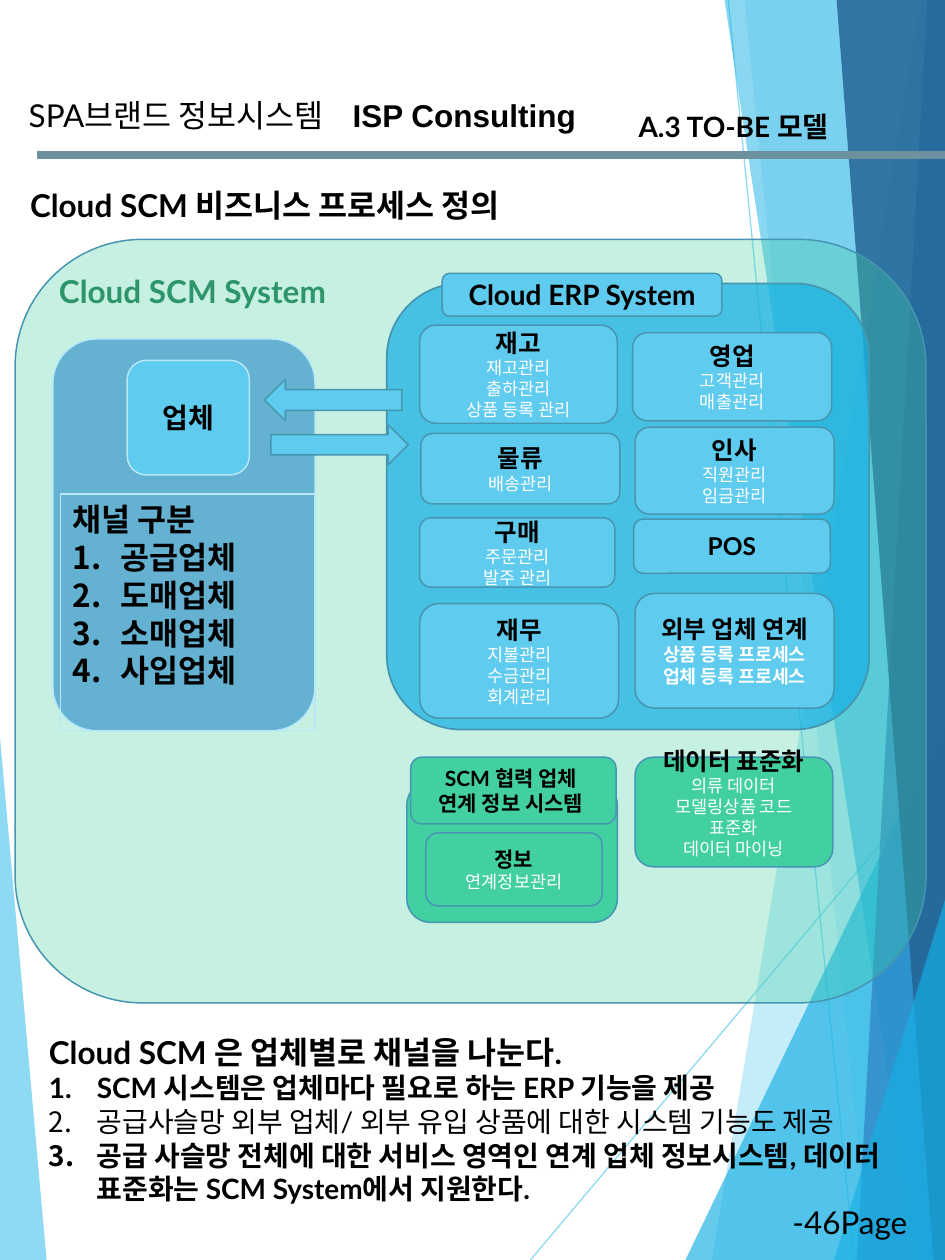
from dataclasses import dataclass
from typing import Optional

from lxml.etree import SubElement
from pptx import Presentation
from pptx.dml.color import RGBColor
from pptx.enum.shapes import MSO_CONNECTOR as Connector, MSO_SHAPE as Preset
from pptx.enum.text import MSO_ANCHOR as Anchor, MSO_AUTO_SIZE as AutoSize, PP_ALIGN as Align
from pptx.oxml.ns import qn
from pptx.util import Inches, Pt

COLUMNS, ROWS = 750, 1000
CELL = Inches(7.5) // COLUMNS
SKY, BLUE, GREEN, EDGE, PALE = "5FCBEF", "17B0E4", "42D0A2", "4696B1", "B7E8F8"
BLACK, WHITE = "000000", "FFFFFF"


@dataclass(frozen=True)
class Line:
    text: str
    size: float
    bold: bool = True
    color: str = BLACK
    numbered: bool = False
    font: str = "Lato"


@dataclass(frozen=True)
class Box:
    left: int
    top: int
    width: int
    height: int
    lines: tuple[Line, ...] = ()
    fill: Optional[str] = SKY
    alpha: int = 100
    edge: str = EDGE
    edge_width: float = 0.85
    preset: Preset = Preset.ROUNDED_RECTANGLE
    centred: bool = True
    bottom_inset: float = 0.05


@dataclass(frozen=True)
class Label:
    left: int
    top: int
    width: int
    height: int
    lines: tuple[Line, ...]
    wrap: bool = False


@dataclass(frozen=True)
class Facet:
    points: tuple[tuple[int, int], ...]
    fill: str
    alpha: int


@dataclass(frozen=True)
class Rule:
    start: tuple[int, int]
    end: tuple[int, int]
    color: str
    width: float
    alpha: int = 100


def paint(color_fill, color: str, alpha: int = 100) -> None:
    """Make a fill solid with a hex colour and an opacity in percent."""
    color_fill.solid()
    color_fill.fore_color.rgb = RGBColor.from_string(color)
    if alpha < 100:
        element = color_fill._xPr.find(qn("a:solidFill"))[0]
        SubElement(element, qn("a:alpha"), val=str(alpha * 1000))


def write(frame, lines: tuple[Line, ...], align: Align) -> None:
    """Write one paragraph per line into a text frame."""
    for index, line in enumerate(lines):
        paragraph = frame.paragraphs[0] if index == 0 else frame.add_paragraph()
        paragraph.alignment = align
        if line.numbered:
            properties = paragraph._p.get_or_add_pPr()
            properties.set("marL", str(Inches(0.38)))
            properties.set("indent", str(-Inches(0.38)))
            SubElement(properties, qn("a:buFont"), typeface="+mj-lt")
            SubElement(properties, qn("a:buAutoNum"), type="arabicPeriod")
        paragraph.add_run().text = line.text
        font = paragraph.font
        font.name, font.size, font.bold = line.font, Pt(line.size), line.bold
        font.color.rgb = RGBColor.from_string(line.color)


def draw_box(slide, box: Box) -> None:
    """Draw a preset shape with its text."""
    place = (side * CELL for side in (box.left, box.top, box.width, box.height))
    shape = slide.shapes.add_shape(box.preset, *place)
    shape.shadow.inherit = False
    if box.fill:
        paint(shape.fill, box.fill, box.alpha)
    else:
        shape.fill.background()
    paint(shape.line.fill, box.edge)
    shape.line.width = Pt(box.edge_width)
    frame = shape.text_frame
    frame.word_wrap = True
    frame.margin_bottom = Inches(box.bottom_inset)
    frame.vertical_anchor = Anchor.MIDDLE if box.centred else Anchor.TOP
    write(frame, box.lines, Align.CENTER if box.centred else Align.LEFT)


def draw_label(slide, label: Label) -> None:
    """Draw a text box that grows with its text."""
    place = (side * CELL for side in (label.left, label.top, label.width, label.height))
    frame = slide.shapes.add_textbox(*place).text_frame
    frame.word_wrap = label.wrap
    frame.auto_size = AutoSize.SHAPE_TO_FIT_TEXT
    write(frame, label.lines, Align.LEFT)


def draw_facet(slide, facet: Facet) -> None:
    """Draw a translucent background polygon."""
    builder = slide.shapes.build_freeform(*facet.points[0], scale=CELL)
    builder.add_line_segments(facet.points[1:], close=True)
    shape = builder.convert_to_shape()
    shape.shadow.inherit = False
    paint(shape.fill, facet.fill, facet.alpha)
    shape.line.fill.background()


def draw_rule(slide, rule: Rule) -> None:
    """Draw a straight line."""
    ends = (value * CELL for value in rule.start + rule.end)
    connector = slide.shapes.add_connector(Connector.STRAIGHT, *ends)
    paint(connector.line.fill, rule.color, rule.alpha)
    connector.line.width = Pt(rule.width)
    SubElement(connector._element.spPr, qn("a:effectLst"))


def card(title: str, *items: str, size: float = 14, item_size: float = 10,
         bold_items: bool = False) -> tuple[Line, ...]:
    """Return a black title followed by white items."""
    return (Line(title, size), *(Line(item, item_size, bold_items, WHITE) for item in items))


def numbered(size: float, *items: str) -> tuple[Line, ...]:
    """Return bold numbered lines."""
    return tuple(Line(item, size, numbered=True) for item in items)


BACKDROP = (
    Facet(((0, 585), (37, ROWS), (0, ROWS)), SKY, 70),
    Rule((421, ROWS), (COLUMNS, 609), SKY, 0.75, 70),
    Rule((578, 0), (678, ROWS), SKY, 0.75, 70),
    Facet(((731, 0), (565, ROWS), (COLUMNS, ROWS), (COLUMNS, 0)), SKY, 36),
    Facet(((591, 0), (690, ROWS), (COLUMNS, ROWS), (COLUMNS, 0)), SKY, 20),
    Facet(((544, ROWS), (COLUMNS, 572), (COLUMNS, ROWS)), BLUE, 66),
    Facet(((575, 0), (727, ROWS), (COLUMNS, ROWS), (COLUMNS, 0)), BLUE, 50),
    Facet(((736, 0), (680, ROWS), (COLUMNS, ROWS), (COLUMNS, 0)), "2E83C3", 70),
    Facet(((664, 0), (741, ROWS), (COLUMNS, ROWS), (COLUMNS, 0)), "226292", 82),
    Facet(((662, ROWS), (COLUMNS, 714), (COLUMNS, ROWS)), BLUE, 66),
)
CONTENT = (
    Box(12, 190, 723, 606, fill=GREEN, alpha=30),
    Box(504, 601, 157, 87, card("데이터 표준화", "의류 데이터 모델링상품 코드 표준화", "데이터 마이닝"),
        GREEN, bottom_inset=0.2),
    Box(323, 620, 167, 112, fill=GREEN),
    Rule((29, 123), (COLUMNS, 123), "6E91A0", 5),
    Label(270, 71, 207, 40, (Line("ISP Consulting", 18, font="Arial"),)),
    Label(13, 71, 274, 40, (Line("SPA브랜드 정보시스템", 18, False),)),
    Label(497, 82, 176, 37, (Line("A.3 TO-BE 모델", 16),)),
    Label(14, 143, 411, 40, (Line("Cloud SCM 비즈니스 프로세스 정의", 18),)),
    Label(37, 211, 713, 40, (Line("Cloud SCM System", 18, color="2E946B"),), True),
    Box(307, 225, 383, 354, fill=BLUE, alpha=72, edge_width=1),
    Box(351, 217, 222, 34, card("Cloud ERP System", size=16)),
    Box(333, 258, 157, 78, card("재고", "재고관리", "출하관리", "상품 등록 관리")),
    Box(334, 344, 158, 56, card("물류", "배송관리")),
    Box(333, 411, 155, 55, card("구매", "주문관리", "발주 관리")),
    Box(333, 479, 158, 91, card("재무", "지불관리", "수금관리", "회계관리")),
    Box(502, 264, 158, 70, card("영업", "고객관리", "매출관리")),
    Box(504, 339, 158, 69, card("인사", "직원관리", "임금관리")),
    Box(503, 412, 156, 43, card("POS")),
    Box(42, 269, 208, 311, fill="0070C0", alpha=49, edge=PALE),
    Box(101, 286, 97, 91, card("업체", size=16), edge=PALE),
    Box(48, 392, 202, 188,
        (Line("채널 구분", 18), *numbered(18, "공급업체", "도매업체", "소매업체", "사입업체")),
        fill=None, edge=PALE, edge_width=0.75, preset=Preset.RECTANGLE, centred=False),
    Box(210, 301, 109, 33, preset=Preset.LEFT_ARROW),
    Box(215, 337, 109, 32, preset=Preset.RIGHT_ARROW),
    Label(29, 815, 713, 148, (
        Line("Cloud SCM 은 업체별로 채널을 나눈다.", 18),
        *numbered(16, "SCM 시스템은 업체마다 필요로 하는 ERP 기능을 제공"),
        Line("공급사슬망 외부 업체/ 외부 유입 상품에 대한 시스템 기능도 제공", 16, False, numbered=True),
        *numbered(16, "공급 사슬망 전체에 대한 서비스 영역인 연계 업체 정보시스템, "
                      "데이터 표준화는 SCM System에서 지원한다."),
    ), True),
    Box(326, 601, 163, 53, (Line("SCM 협력 업체 ", 12), Line("연계 정보 시스템 ", 12)), GREEN),
    Box(504, 471, 158, 91, card("외부 업체 연계", "상품 등록 프로세스", "업체 등록 프로세스",
                                item_size=10.5, bold_items=True)),
    Box(338, 661, 140, 58, card("정보", "연계정보관리", size=12), GREEN),
    Label(619, 950, 118, 40, (Line("-46Page-", 18, False),)),
)
PAINTERS = {Box: draw_box, Label: draw_label, Facet: draw_facet, Rule: draw_rule}


def main() -> None:
    """Build and save the slide."""
    presentation = Presentation()
    presentation.slide_width, presentation.slide_height = COLUMNS * CELL, ROWS * CELL
    slide = presentation.slides.add_slide(presentation.slide_layouts[6])
    for item in BACKDROP + CONTENT:
        PAINTERS[type(item)](slide, item)
    presentation.save("out.pptx")


if __name__ == "__main__":
    main()
